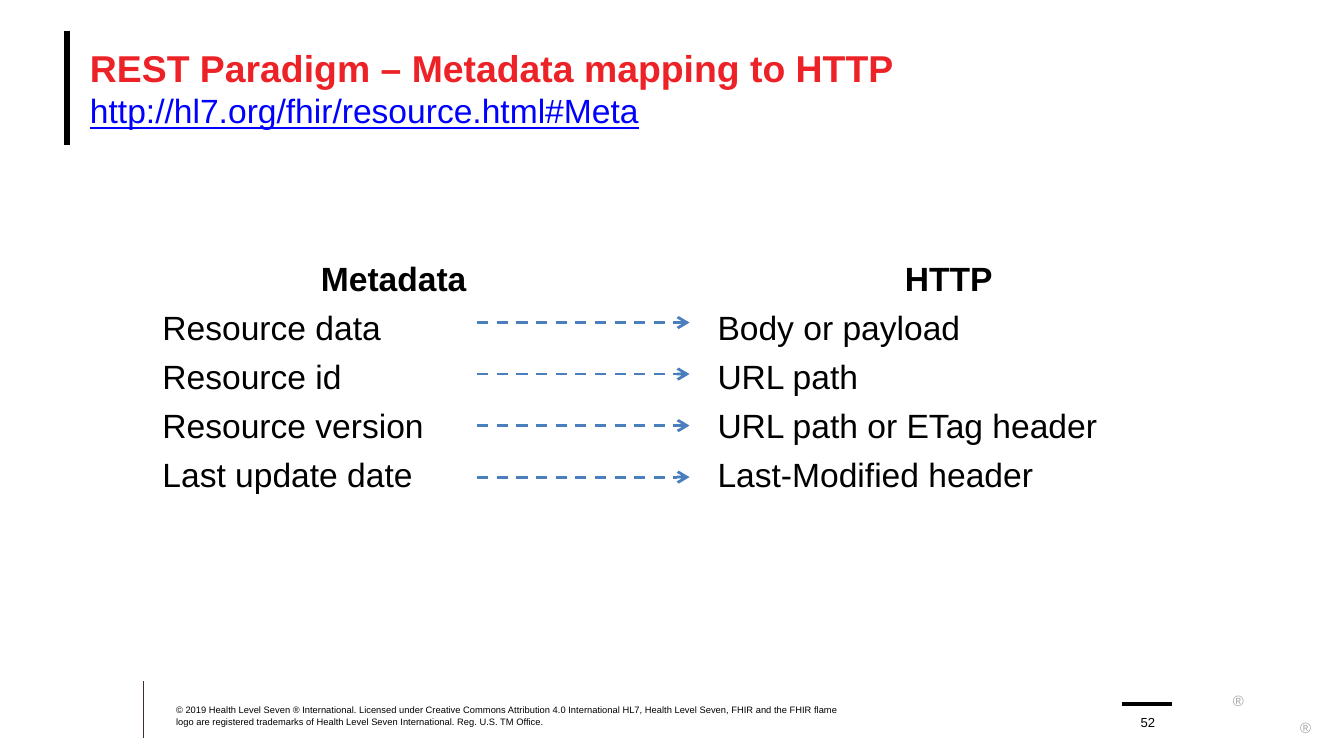
"""Build the slide that maps REST metadata to HTTP."""
from lxml.etree import SubElement
from pptx import Presentation
from pptx.dml.color import RGBColor as RGB
from pptx.enum.dml import MSO_LINE
from pptx.enum.shapes import MSO_CONNECTOR
from pptx.enum.text import MSO_ANCHOR as ANCHOR, MSO_AUTO_SIZE as AUTO_SIZE, PP_ALIGN as ALIGN
from pptx.oxml.ns import qn
from pptx.util import Pt

TITLE = "REST Paradigm – Metadata mapping to HTTP"
LINK = "http://hl7.org/fhir/resource.html#Meta"
HEADINGS = ("Metadata", "HTTP")
MAPPING = [
    ("Resource data", "Body or payload"),
    ("Resource id", "URL path"),
    ("Resource version", "URL path or ETag header"),
    ("Last update date", "Last-Modified header"),
]
COPYRIGHT = (
    "© 2019 Health Level Seven ® International. Licensed under Creative Commons "
    "Attribution 4.0 International HL7, Health Level Seven, FHIR and the FHIR flame "
    "logo are registered trademarks of Health Level Seven International. "
    "Reg. U.S. TM Office."
)
PAGE = "52"
THEME = {
    "font": "Arial",
    "title": {"size": 20, "color": "EC2227", "bold": True},
    "link": {"size": 18, "color": "0000FF", "bold": False, "underline": True},
    "heading": {"size": 18, "color": "000000", "bold": True},
    "body": {"size": 18, "color": "000000", "bold": False},
    "page": {"size": 7, "color": "000000"},
    "copyright": {"size": 5, "color": "000000"},
    "mark": {"size": 8, "color": "A6A6A6"},
    "arrow": "4B7EBC",
}
RULES = [
    ((77, 365, 77, 395.3), "3D3029", 0.5),
    ((36, 16.5, 36, 77.8), "000000", 3.25),
    ((601.2, 377.3, 627.8, 377.3), "000000", 2),
]
MARKS = [(659.5, 367.2, 8, 6.5), (696.2, 381.6, 6.5, 6.5)]
COLUMN_LEFTS = (79.9, 377.3)
COLUMN_TOP, COLUMN_WIDTH, COLUMN_HEIGHT = 133.2, 262, 170
ROW_SPACE = 4.6
ARROW_LEFT, ARROW_RIGHT, ARROW_TOP, ARROW_PITCH = 255.6, 369.4, 172.8, 27.6


def set_font(font, style):
    values = dict(THEME[style], name=THEME["font"])
    font.color.rgb = RGB.from_string(values.pop("color"))
    values["size"] = Pt(values["size"])
    for key, value in values.items():
        setattr(font, key, value)


def set_frame(frame, insets=(0, 0, 0, 0), anchor=ANCHOR.TOP, wrap=True):
    sides = ("margin_left", "margin_top", "margin_right", "margin_bottom")
    values = dict(zip(sides, map(Pt, insets)), vertical_anchor=anchor,
                  word_wrap=wrap, auto_size=AUTO_SIZE.NONE)
    for key, value in values.items():
        setattr(frame, key, value)


def add_text(slide, box, lines, **frame_values):
    frame = slide.shapes.add_textbox(*map(Pt, box)).text_frame
    set_frame(frame, **frame_values)
    for index, (words, style, align) in enumerate(lines):
        paragraph = frame.add_paragraph() if index else frame.paragraphs[0]
        paragraph.alignment = align
        if index:
            paragraph.space_before = Pt(ROW_SPACE)
        run = paragraph.add_run()
        run.text = words
        set_font(run.font, style)


def add_line(slide, ends, color, width):
    connector = slide.shapes.add_connector(MSO_CONNECTOR.STRAIGHT, *map(Pt, ends))
    connector.line.color.rgb = RGB.from_string(color)
    connector.line.width = Pt(width)
    SubElement(connector._element.spPr, qn("a:effectLst"))
    return connector.line


def add_arrow(slide, y):
    line = add_line(slide, (ARROW_LEFT, y, ARROW_RIGHT, y), THEME["arrow"], 1.5)
    line.dash_style = MSO_LINE.DASH
    SubElement(line._get_or_add_ln(), qn("a:tailEnd"), type="arrow")


def fill_title(title):
    title.left, title.top, title.width, title.height = map(Pt, (48.2, 16.5, 635.8, 61.3))
    set_frame(title.text_frame, anchor=ANCHOR.MIDDLE)
    paragraph = title.text_frame.paragraphs[0]
    paragraph.alignment = ALIGN.LEFT
    for words, style in ((TITLE, "title"), (LINK, "link")):
        if paragraph.runs:
            paragraph.add_line_break()
        run = paragraph.add_run()
        run.text = words
        set_font(run.font, style)


def main():
    deck = Presentation()
    deck.slide_width, deck.slide_height = Pt(720), Pt(405)
    slide = deck.slides.add_slide(deck.slide_layouts[5])
    fill_title(slide.shapes.title)
    for ends, color, width in RULES:
        add_line(slide, ends, color, width)
    for box in MARKS:
        add_text(slide, box, [("®", "mark", ALIGN.CENTER)], insets=(0, 3.6, 0, 0), wrap=False)
    add_text(slide, (604.1, 377.3, 21.6, 13.7), [(PAGE, "page", ALIGN.CENTER)],
             anchor=ANCHOR.BOTTOM)
    for left, heading, entries in zip(COLUMN_LEFTS, HEADINGS, zip(*MAPPING)):
        lines = [(heading, "heading", ALIGN.CENTER)]
        lines += [(entry, "body", ALIGN.LEFT) for entry in entries]
        add_text(slide, (left, COLUMN_TOP, COLUMN_WIDTH, COLUMN_HEIGHT), lines,
                 insets=(7.2, 5.2, 7.2, 3.6))
    for row in range(len(MAPPING)):
        add_arrow(slide, ARROW_TOP + row * ARROW_PITCH)
    add_text(slide, (94.3, 377.3, 356.4, 12.2), [(COPYRIGHT, "copyright", ALIGN.LEFT)],
             anchor=ANCHOR.BOTTOM)
    deck.save("out.pptx")


if __name__ == "__main__":
    main()
